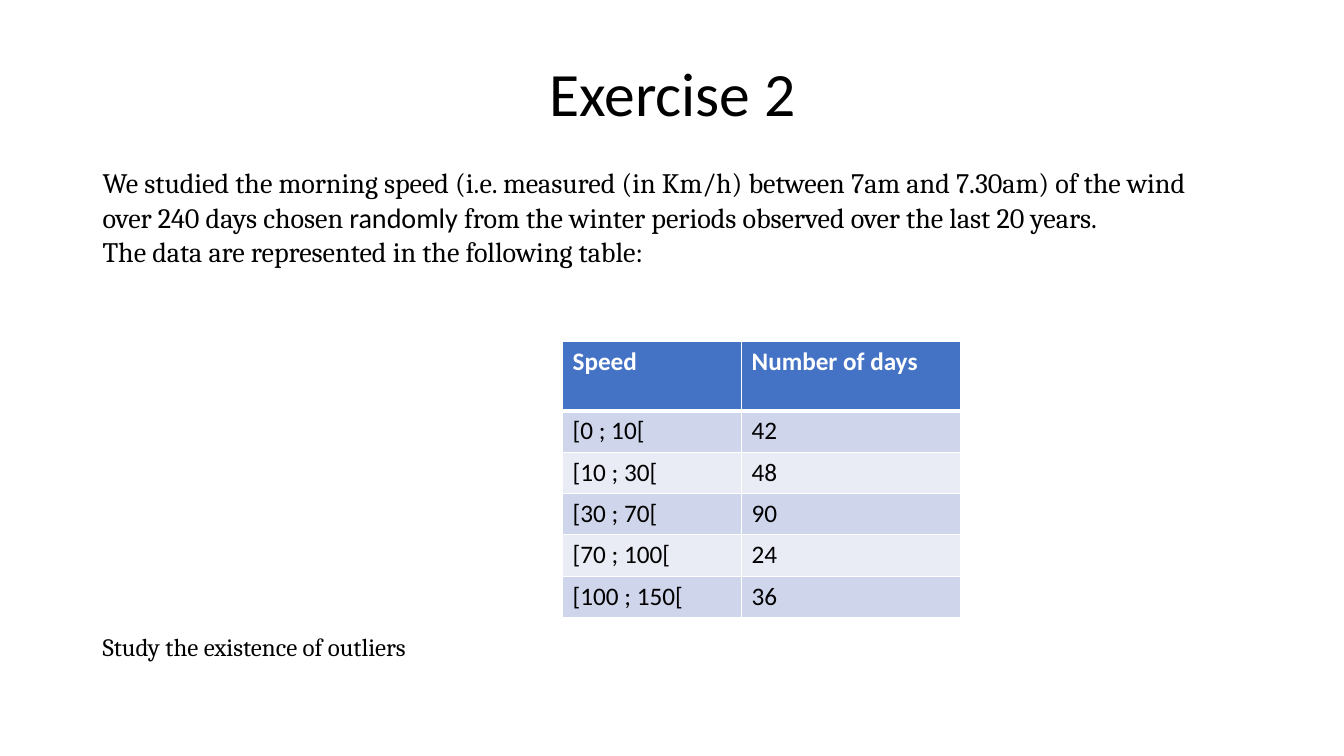
from lxml import etree
from pptx import Presentation
from pptx import util as u
from pptx.dml.color import RGBColor
from pptx.enum import text
from pptx.oxml import ns

WIDE, HIGH = u.Inches(13.33), u.Inches(7.5)
BLACK = RGBColor(0x00, 0x00, 0x00)
WHITE = RGBColor(0xFF, 0xFF, 0xFF)
BLUE = RGBColor(0x44, 0x72, 0xC4)
BANDS = [RGBColor(0xCF, 0xD5, 0xEA), RGBColor(0xE9, 0xEB, 0xF5)]
SANS, SERIF = "Calibri", "Cambria"

# Margins and widths as shares of the slide
LEFT, SPAN = 0.069, 0.863

INTRO = [
    [("We studied the morning speed (i.e. measured (in Km/h) "
      "between 7am and 7.30am) of the wind", SERIF)],
    [("over 240 days chosen ", SERIF), ("randomly ", SANS),
     ("from the winter periods observed over the last 20 years.", SERIF)],
    [("The data are represented in the following table:", SERIF)],
]
SPEEDS = [
    ("Speed", "Number of days"),
    ("[0 ; 10[", "42"),
    ("[10 ; 30[", "48"),
    ("[30 ; 70[", "90"),
    ("[70 ; 100[", "24"),
    ("[100 ; 150[", "36"),
]


def place(x, y, w, h):
    """Turn shares of the slide into lengths."""
    return [int(v) for v in (x * WIDE, y * HIGH, w * WIDE, h * HIGH)]


def add_run(para, words, font, size, color=BLACK, bold=False):
    run = para.add_run()
    run.text = words
    run.font.name, run.font.size = font, u.Pt(size)
    run.font.color.rgb, run.font.bold = color, bold


def add_text(slide, top, tall, paras, size, lines, align=text.PP_ALIGN.LEFT,
             anchor=text.MSO_ANCHOR.TOP):
    frame = slide.shapes.add_textbox(*place(LEFT, top, SPAN, tall)).text_frame
    frame.word_wrap = True
    frame.vertical_anchor = anchor
    for i, runs in enumerate(paras):
        para = frame.add_paragraph() if i else frame.paragraphs[0]
        para.alignment, para.line_spacing = align, lines
        if i:
            para.space_before = u.Pt(8)
        for words, font in runs:
            add_run(para, words, font, size)


def add_edges(cell, base):
    """Draw white cell borders; base is the width of the bottom one."""
    props = cell._tc.get_or_add_tcPr()
    for side, width in zip("LRTB", (1, 1, 1, base)):
        line = etree.SubElement(props, ns.qn(f"a:ln{side}"), w=str(u.Pt(width)))
        fill = etree.SubElement(line, ns.qn("a:solidFill"))
        etree.SubElement(fill, ns.qn("a:srgbClr"), val=str(WHITE))


def add_grid(slide, rows):
    area = place(0.4186, 0.4515, 0.296, 0.365)
    table = slide.shapes.add_table(len(rows), 2, *area).table
    for col, share in zip(table.columns, (0.45, 0.55)):
        col.width = int(area[2] * share)
    for r, row in enumerate(rows):
        head = r == 0
        table.rows[r].height = u.Inches(0.69 if head else 0.41)
        for c, words in enumerate(row):
            cell = table.cell(r, c)
            add_edges(cell, 3 if head else 1)
            cell.fill.solid()
            cell.fill.fore_color.rgb = BLUE if head else BANDS[(r - 1) % 2]
            add_run(cell.text_frame.paragraphs[0], words, SANS, 18,
                    WHITE if head else BLACK, head)


def main():
    deck = Presentation()
    deck.slide_width, deck.slide_height = WIDE, HIGH
    slide = deck.slides.add_slide(deck.slide_layouts[6])

    # Title
    add_text(slide, 0.031, 0.193, [[("Exercise 2", SANS)]], 44, 0.9,
             text.PP_ALIGN.CENTER, text.MSO_ANCHOR.MIDDLE)
    # Problem, data and question
    add_text(slide, 0.224, 0.17, INTRO, 20.1, 0.7)
    add_grid(slide, SPEEDS)
    add_text(slide, 0.84, 0.07,
             [[("Study the existence of outliers", SERIF)]], 17.8, 0.7)

    deck.save("out.pptx")


if __name__ == "__main__":
    main()
